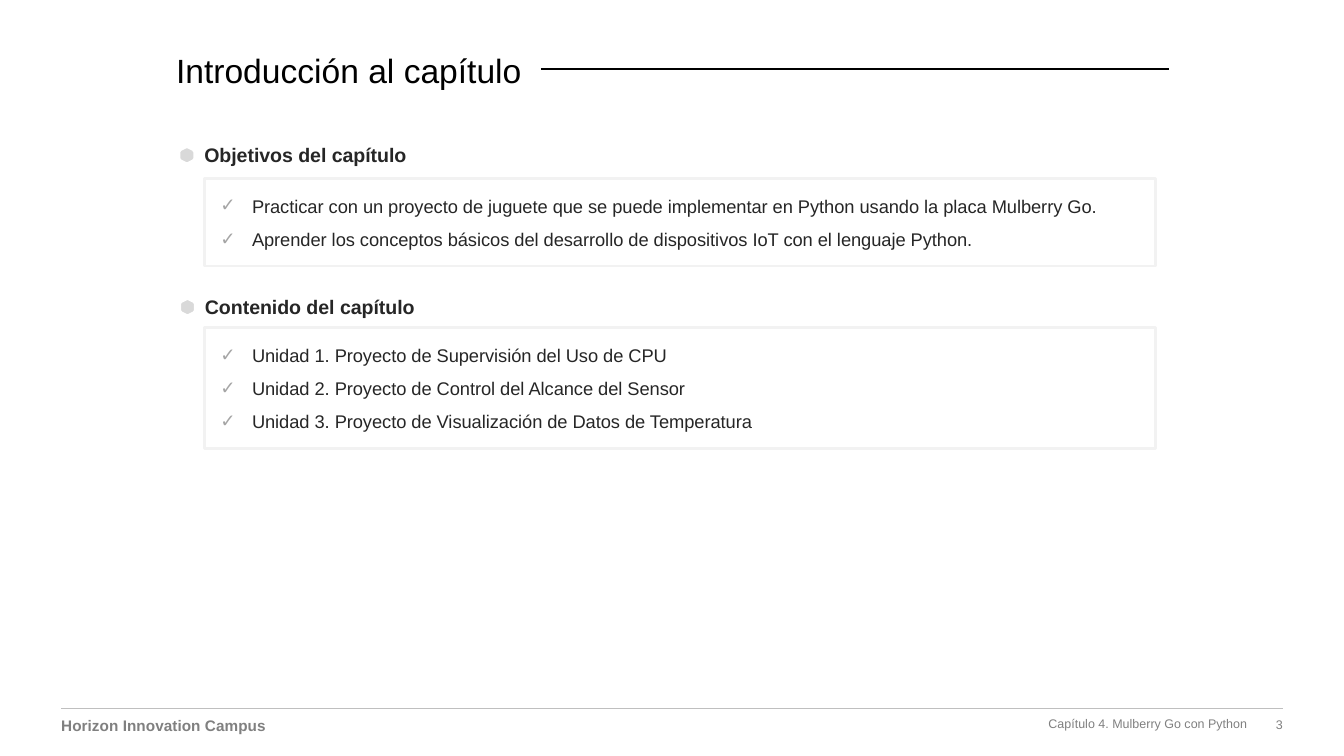
"""Build the chapter introduction slide with its goals and contents."""
from dataclasses import dataclass

from lxml.etree import SubElement
from pptx import Presentation
from pptx.dml.color import RGBColor
from pptx.enum.shapes import MSO_CONNECTOR, MSO_SHAPE
from pptx.enum.text import MSO_ANCHOR as Anchor, MSO_AUTO_SIZE as AutoSize, PP_ALIGN as Align
from pptx.oxml.ns import qn
from pptx.util import Emu, Pt

EMU_PER_PX = 4572


@dataclass(frozen=True)
class Theme:
    font: str = "Arial"
    ink: str = "000000"
    body: str = "262626"
    muted: str = "808080"
    check: str = "A5A5A5"
    rule: str = "BFBFBF"
    marker: str = "D9D9D9"
    frame: str = "F2F2F2"
    paper: str = "FFFFFF"
    title_size: float = 18
    heading_size: float = 10.5
    body_size: float = 9.75
    brand_size: float = 8.25
    footer_size: float = 6.75


@dataclass(frozen=True)
class Box:
    left: int
    top: int
    width: int
    height: int

    def emu(self) -> tuple:
        return tuple(px(v) for v in (self.left, self.top, self.width, self.height))


@dataclass(frozen=True)
class Label:
    text: str
    box: Box
    size: float
    color: str
    bold: bool = False
    align: Align = Align.LEFT
    anchor: Anchor = Anchor.TOP


@dataclass(frozen=True)
class Section:
    heading: str
    heading_left: int
    heading_top: int
    marker_top: int
    frame: Box
    items: tuple


THEME = Theme()
INDENT = 47
MARKER_OFFSET = 44
MARKER_POINTS = ((0, 12), (4, 6), (14, 1), (18, 0), (22, 1), (32, 6), (36, 12),
                 (36, 26), (32, 32), (22, 37), (18, 38), (14, 37), (4, 32), (0, 26))

FOOTER = (
    Label("3", Box(1785, 1067, 124, 22), THEME.footer_size, THEME.muted,
          align=Align.RIGHT, anchor=Anchor.MIDDLE),
    Label("Horizon Innovation Campus", Box(91, 1066, 584, 28), THEME.brand_size,
          THEME.muted, bold=True),
    Label("Capítulo 4. Mulberry Go con Python", Box(769, 1065, 1088, 22),
          THEME.footer_size, THEME.muted, align=Align.RIGHT, anchor=Anchor.MIDDLE),
)
TITLE = Label("Introducción al capítulo", Box(262, 74, 1440, 60),
              THEME.title_size, THEME.ink)
SECTIONS = (
    Section("Objetivos del capítulo", 304, 213, 212, Box(304, 266, 1416, 130), (
        "Practicar con un proyecto de juguete que se puede implementar en Python "
        "usando la placa Mulberry Go.",
        "Aprender los conceptos básicos del desarrollo de dispositivos IoT con el "
        "lenguaje Python.",
    )),
    Section("Contenido del capítulo", 305, 439, 438, Box(304, 488, 1416, 180), (
        "Unidad 1. Proyecto de Supervisión del Uso de CPU",
        "Unidad 2. Proyecto de Control del Alcance del Sensor",
        "Unidad 3. Proyecto de Visualización de Datos de Temperatura",
    )),
)


def px(value: int) -> Emu:
    return Emu(value * EMU_PER_PX)


def rgb(color: str) -> RGBColor:
    return RGBColor.from_string(color)


def format_frame(text_frame, anchor: Anchor, inset: int = 0) -> None:
    text_frame.word_wrap = True
    text_frame.auto_size = AutoSize.NONE
    text_frame.vertical_anchor = anchor
    text_frame.margin_left = text_frame.margin_right = px(inset)
    text_frame.margin_top = text_frame.margin_bottom = px(inset)


def format_font(font, size: float, color: str, bold: bool = False) -> None:
    font.name = THEME.font
    font.size = Pt(size)
    font.bold = bold
    font.color.rgb = rgb(color)


def write_label(shape, label: Label) -> None:
    shape.left, shape.top, shape.width, shape.height = label.box.emu()
    format_frame(shape.text_frame, label.anchor)
    paragraph = shape.text_frame.paragraphs[0]
    paragraph.text = label.text
    paragraph.alignment = label.align
    format_font(paragraph.font, label.size, label.color, label.bold)


def add_label(slide, label: Label) -> None:
    write_label(slide.shapes.add_textbox(*label.box.emu()), label)


def add_rule(slide, left: int, right: int, y: int, color: str, weight: float) -> None:
    line = slide.shapes.add_connector(
        MSO_CONNECTOR.STRAIGHT, px(left), px(y), px(right), px(y))
    line.line.color.rgb = rgb(color)
    line.line.width = Pt(weight)
    SubElement(line._element.spPr, qn("a:effectLst"))


def add_marker(slide, left: int, top: int) -> None:
    points = [(left + x, top + y) for x, y in MARKER_POINTS]
    builder = slide.shapes.build_freeform(*points[0], scale=EMU_PER_PX)
    builder.add_line_segments(points[1:], close=True)
    marker = builder.convert_to_shape()
    marker.shadow.inherit = False
    marker.fill.solid()
    marker.fill.fore_color.rgb = rgb(THEME.marker)
    marker.line.color.rgb = rgb(THEME.paper)
    marker.line.width = Pt(6)


def add_check(paragraph) -> None:
    properties = paragraph._p.get_or_add_pPr()
    properties.set("marL", str(px(INDENT)))
    properties.set("indent", str(px(-INDENT)))
    color = SubElement(properties, qn("a:buClr"))
    SubElement(color, qn("a:srgbClr"), val=THEME.check)
    SubElement(properties, qn("a:buFont"), typeface=THEME.font)
    SubElement(properties, qn("a:buChar"), char="✓")


def add_checklist(slide, box: Box, items: tuple) -> None:
    frame = slide.shapes.add_shape(MSO_SHAPE.RECTANGLE, *box.emu())
    frame.shadow.inherit = False
    frame.fill.background()
    frame.line.color.rgb = rgb(THEME.frame)
    frame.line.width = Pt(1.5)
    format_frame(frame.text_frame, Anchor.TOP, inset=24)
    frame.text_frame.text = "\n".join(items)
    for paragraph in frame.text_frame.paragraphs:
        add_check(paragraph)
        paragraph.alignment = Align.LEFT
        paragraph.space_after = Pt(6)
        format_font(paragraph.font, THEME.body_size, THEME.body)


def add_section(slide, section: Section) -> None:
    add_checklist(slide, section.frame, section.items)
    add_label(slide, Label(
        section.heading, Box(section.heading_left, section.heading_top, 1416, 36),
        THEME.heading_size, THEME.body, bold=True))
    add_marker(slide, section.heading_left - MARKER_OFFSET, section.marker_top)


def main() -> None:
    presentation = Presentation()
    presentation.slide_width, presentation.slide_height = px(2000), px(1125)
    slide = presentation.slides.add_slide(presentation.slide_layouts[5])
    write_label(slide.shapes.title, TITLE)
    add_rule(slide, 805, 1740, 103, THEME.ink, 1)
    add_rule(slide, 91, 1909, 1054, THEME.rule, 0.5)
    for label in FOOTER:
        add_label(slide, label)
    for section in SECTIONS:
        add_section(slide, section)
    presentation.save("out.pptx")


if __name__ == "__main__":
    main()
